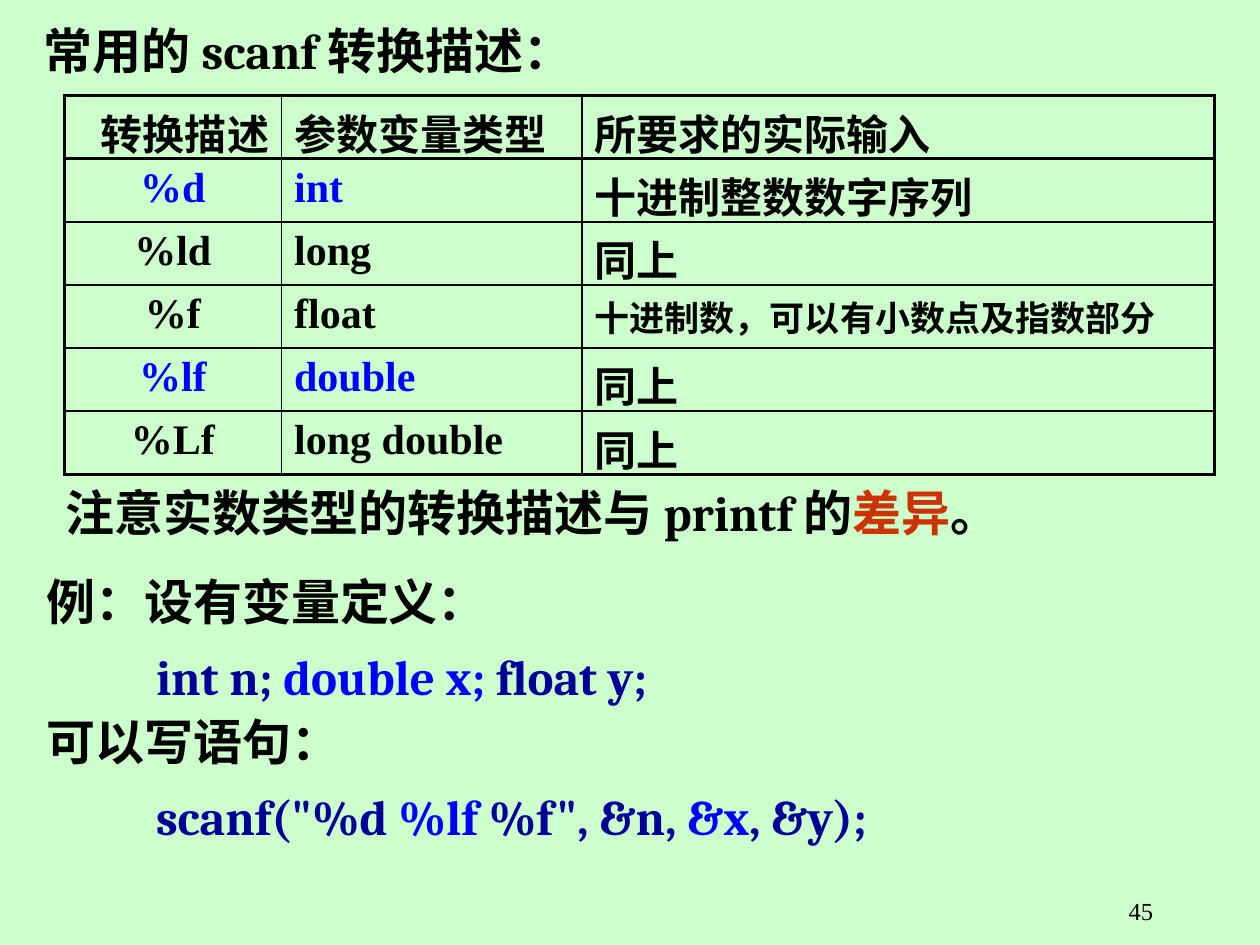
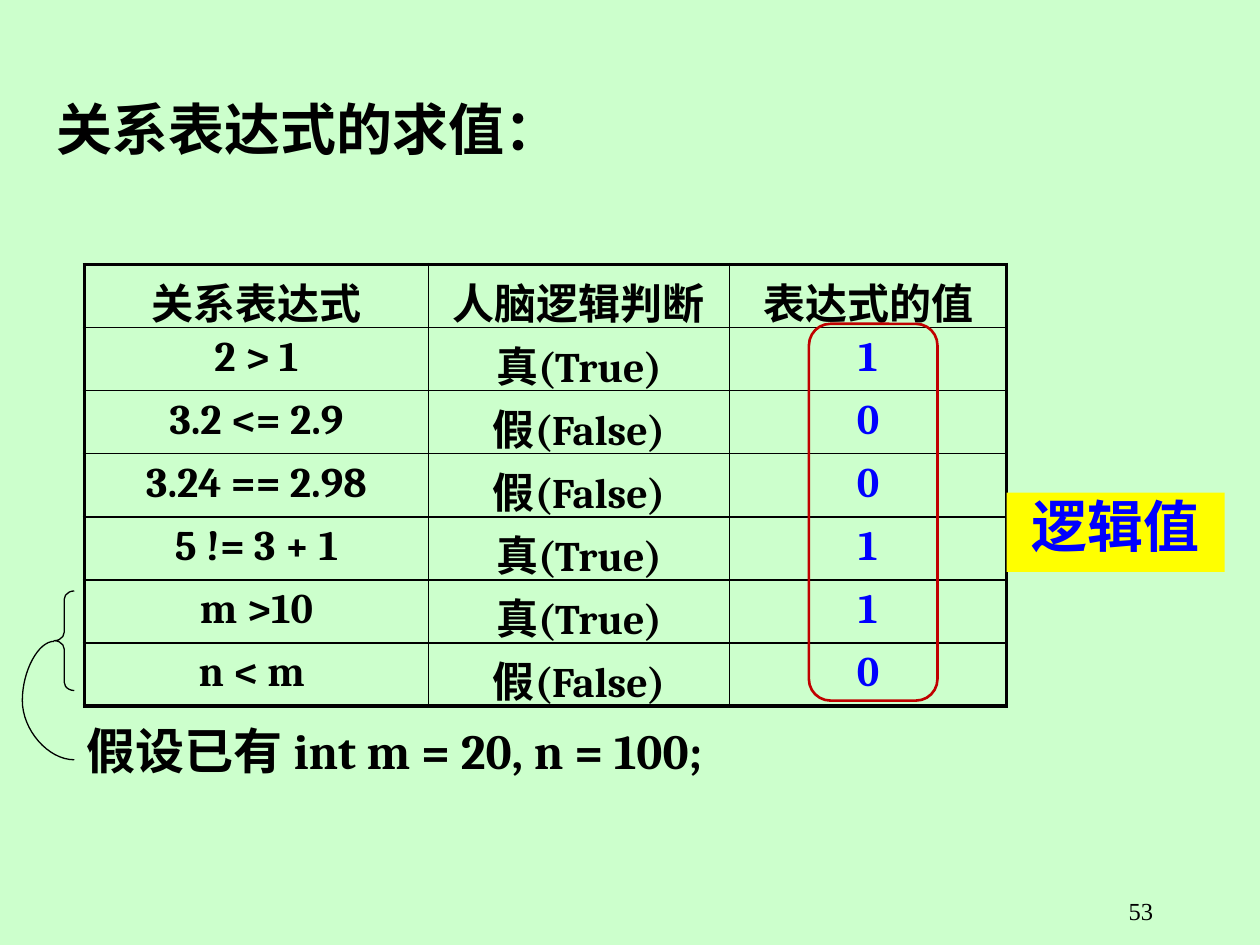
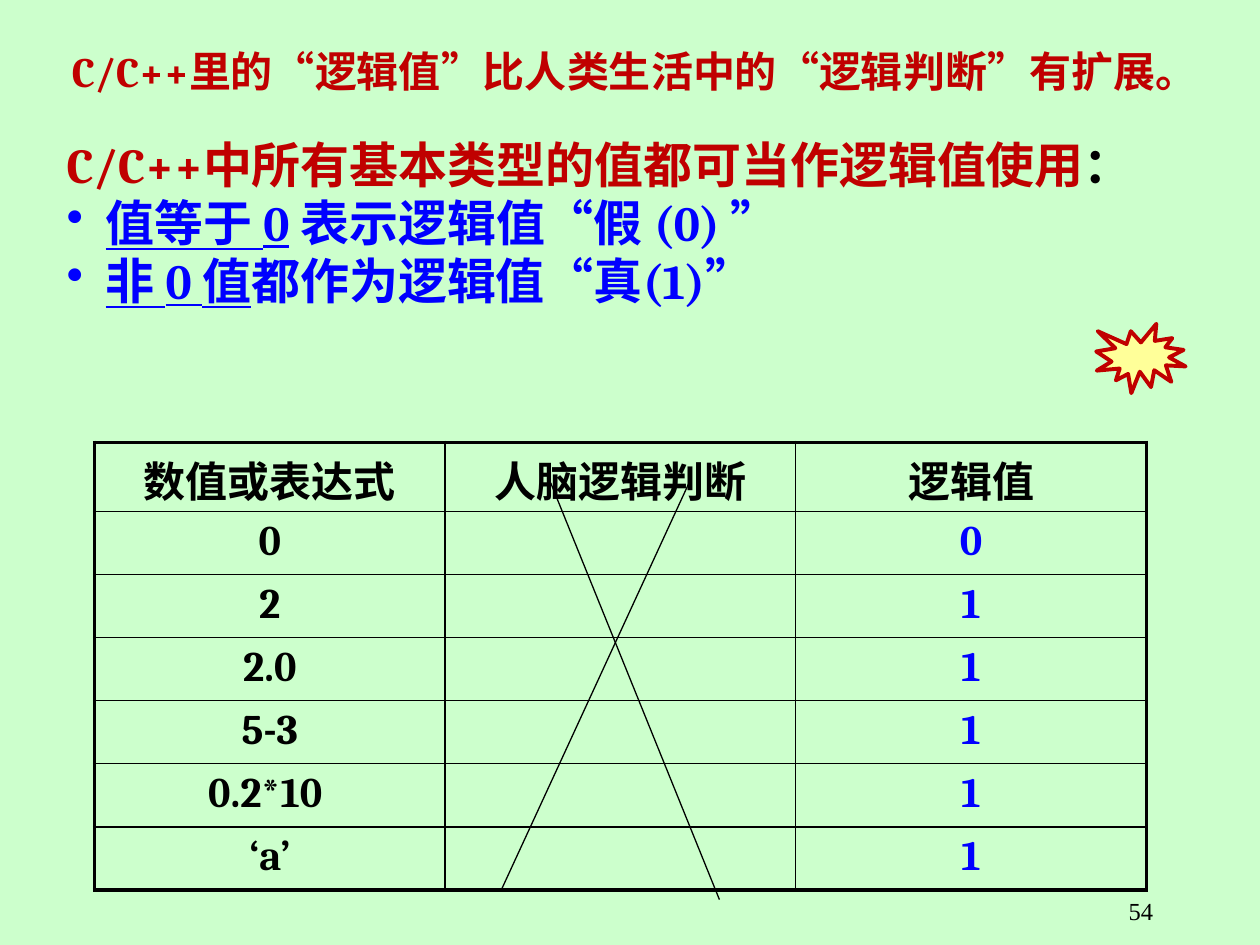
import dataclasses

import pptx
import pptx.dml.color
import pptx.enum.lang
import pptx.enum.shapes
import pptx.enum.text
import pptx.oxml
import pptx.oxml.ns
import pptx.util

ALIGN = pptx.enum.text.PP_ALIGN
SHAPE = pptx.enum.shapes.MSO_SHAPE
CONNECTOR = pptx.enum.shapes.MSO_CONNECTOR


@dataclasses.dataclass(frozen=True)
class Theme:
    background: str = "CCFFCC"
    black: str = "000000"
    blue: str = "0000FF"
    navy: str = "000099"
    red: str = "C00000"
    orange: str = "CC3300"
    yellow: str = "FFFF00"
    cream: str = "FFFF99"
    serif: str = "Cambria"
    roman: str = "Times New Roman"
    title: int = 32
    body: int = 28
    cell: int = 24
    small: int = 20
    number: int = 14
    thin: float = 0.75
    line_spacing: float = 0.9


THEME = Theme()

# The slide is a grid of 100 columns by 75 rows of square units.
COLUMNS = 100
WIDTH, HEIGHT = pptx.util.Inches(10), pptx.util.Inches(7.5)


def units(*values):
    return [round(value * WIDTH / COLUMNS) for value in values]


def rgb(color):
    return pptx.dml.color.RGBColor.from_string(color)


def add_element(parent, tag, **attributes):
    return pptx.oxml.ns.qn(tag) and _append(parent, tag, attributes)


def _append(parent, tag, attributes):
    element = parent.makeelement(pptx.oxml.ns.qn(tag), attributes)
    parent.append(element)
    return element


# Text

def format_run(run, size, color, font=THEME.serif, bold=True, underline=False):
    run.font.size = pptx.util.Pt(size)
    run.font.name = font
    run.font.bold = bold
    run.font.color.rgb = rgb(color)
    run.font.language_id = pptx.enum.lang.MSO_LANGUAGE_ID.SIMPLIFIED_CHINESE
    if underline:
        run.font.underline = True


def write_paragraph(paragraph, runs, size, align=ALIGN.LEFT, font=THEME.serif,
                    before=0, left=0, hanging=0, bullet=None,
                    spacing=THEME.line_spacing):
    """Fill a paragraph with runs of (text, color[, underline])."""
    paragraph.alignment = align
    paragraph.line_spacing = spacing
    if before:
        paragraph.space_before = pptx.util.Pt(before)
    properties = paragraph._p.get_or_add_pPr()
    left_margin, indent = units(left, -hanging)
    properties.set("marL", str(left_margin))
    properties.set("indent", str(indent))
    if bullet:
        add_element(properties, "a:buChar", char=bullet)
    for text, color, *underline in runs:
        run = paragraph.add_run()
        run.text = text
        format_run(run, size, color, font, underline=bool(underline))


def add_text(slide, box, paragraphs, size=THEME.body, **shared):
    """Add a text box; each paragraph is (runs, options)."""
    frame = slide.shapes.add_textbox(*units(*box)).text_frame
    frame.word_wrap = True
    for index, (runs, options) in enumerate(paragraphs):
        paragraph = frame.add_paragraph() if index else frame.paragraphs[0]
        write_paragraph(paragraph, runs, size, **{**shared, **options})


def add_slide(presentation, number):
    slide = presentation.slides.add_slide(presentation.slide_layouts[6])
    box = slide.shapes.add_textbox(*units(71.7, 70.6, 20.8, 2.8))
    paragraph = box.text_frame.paragraphs[0]
    paragraph.text = str(number)
    paragraph.alignment = ALIGN.RIGHT
    format_run(paragraph.runs[0], THEME.number, THEME.black, THEME.roman, bold=False)
    return slide


# Tables

def set_borders(cell, widths):
    properties = cell._tc.get_or_add_tcPr()
    for position, (side, width) in enumerate(zip("LRTB", widths)):
        line = add_element(properties, "a:ln" + side, w=str(pptx.util.Pt(width)))
        fill = add_element(line, "a:solidFill")
        add_element(fill, "a:srgbClr", val=THEME.black)
        properties.remove(line)
        properties.insert(position, line)


def add_table(slide, corner, widths, heights, rows, style_cell, outer, header=1):
    """Add a ruled table; style_cell(row, column) gives a cell's text options."""
    frame = slide.shapes.add_table(len(rows), len(widths),
                                   *units(*corner, sum(widths), sum(heights)))
    table = frame.table
    table.first_row = table.horz_banding = False
    for column, width in zip(table.columns, units(*widths)):
        column.width = width
    for row, height in zip(table.rows, units(*heights)):
        row.height = height
    last_row, last_column = len(rows) - 1, len(widths) - 1
    for r, texts in enumerate(rows):
        for c, text in enumerate(texts):
            cell = table.cell(r, c)
            cell.fill.background()
            set_borders(cell, (outer if c == 0 else 1,
                               outer if c == last_column else 1,
                               outer if r == 0 else header if r == 1 else 1,
                               outer if r == last_row else header if r == 0 else 1))
            if text:
                options = {"size": THEME.cell, "color": THEME.black,
                           "align": ALIGN.CENTER, **style_cell(r, c)}
                write_paragraph(cell.text_frame.paragraphs[0],
                                [(text, options.pop("color"))], spacing=1.0, **options)


def blue_values(row, column):
    return {"color": THEME.blue} if row and column == 2 else {}


# Shapes and lines

def add_shape(slide, kind, box, fill=None, line=None, width=THEME.thin, adjust=()):
    shape = slide.shapes.add_shape(kind, *units(*box))
    shape.shadow.inherit = False
    for index, value in enumerate(adjust):
        shape.adjustments[index] = value
    if fill:
        shape.fill.solid()
        shape.fill.fore_color.rgb = rgb(fill)
    else:
        shape.fill.background()
    if line:
        shape.line.color.rgb = rgb(line)
        shape.line.width = pptx.util.Pt(width)
    else:
        shape.line.fill.background()
    return shape


def add_line(slide, begin, end, kind=CONNECTOR.STRAIGHT, bend=None):
    connector = slide.shapes.add_connector(kind, *units(*begin, *end))
    connector.line.color.rgb = rgb(THEME.black)
    connector.line.width = pptx.util.Pt(THEME.thin)
    properties = connector._element.spPr
    add_element(properties, "a:effectLst")
    if bend is not None:
        guides = properties.find(pptx.oxml.ns.qn("a:prstGeom")).get_or_add_avLst()
        add_element(guides, "a:gd", name="adj1", fmla=f"val {round(bend * 100000)}")


# Slides

def build_scanf(presentation):
    slide = add_slide(presentation, 45)
    black, blue, navy = THEME.black, THEME.blue, THEME.navy
    add_text(slide, (4.2, 38.3, 95.8, 5.7), [
        ([("注意实数类型的转换描述与 printf 的", black), ("差异", THEME.orange),
          ("。", black)], {})])
    code = {"left": 8.7, "before": 12.5}
    add_text(slide, (2.7, 45.4, 95.8, 23.9), [
        ([("例：设有变量定义：", black)], {}),
        ([("int n; ", navy), ("double x;", blue), (" float y;", navy)], code),
        ([("可以写语句：", black)], {"before": 7}),
        ([('scanf("%d ', navy), ("%lf ", blue), ('%f", &n, ', navy),
          ("&x", blue), (", &y);", navy)], code),
    ], align=ALIGN.JUSTIFY)
    add_text(slide, (2.5, 1.7, 88.3, 5.7), [([("常用的 scanf 转换描述：", black)], {})])

    rows = [("转换描述", "参数变量类型", "所要求的实际输入"),
            ("%d", "int", "十进制整数数字序列"),
            ("%ld", "long", "同上"),
            ("%f", "float", "十进制数，可以有小数点及指数部分"),
            ("%lf", "double", "同上"),
            ("%Lf", "long double", "同上")]

    def style_cell(row, column):
        first = ALIGN.CENTER if row else ALIGN.RIGHT
        return {"font": THEME.roman,
                "align": ALIGN.LEFT if column else first,
                "color": blue if row in (1, 4) and column < 2 else black,
                "size": THEME.small if (row, column) == (3, 2) else THEME.cell}

    add_table(slide, (5.1, 7.6), (17.25, 23.85, 50.2), [5] * 6, rows, style_cell,
              outer=2, header=2)


def build_relations(presentation):
    slide = add_slide(presentation, 53)
    add_text(slide, (3.5, 7.6, 92.4, 6.3), [([("关系表达式的求值：", THEME.black)], {})],
             size=THEME.title, font=THEME.roman)
    add_text(slide, (5.9, 57.2, 84.3, 6.3), [
        ([("假设已有 int m = 20, n = 100;", THEME.black)], {"left": 3.8, "hanging": 3.8})])
    true, false = ("真(True)", "1"), ("假(False)", "0")
    rows = [("关系表达式", "人脑逻辑判断", "表达式的值"),
            ("2 > 1", *true), ("3.2 <= 2.9", *false), ("3.24 == 2.98", *false),
            ("5 != 3 + 1", *true), ("m >10", *true), ("n < m ", *false)]
    add_table(slide, (6.7, 21), (27.3, 23.9, 22), [5] * 7, rows, blue_values, outer=2.25)

    # The last two rows rely on the declaration below the table
    add_shape(slide, SHAPE.LEFT_BRACE, (4.3, 46.9, 1.6, 7.9), line=THEME.black,
              adjust=(0.415, 0.5))
    add_line(slide, (4.3, 50.9), (5.9, 60.3), CONNECTOR.CURVE, bend=-1.58)

    label = add_shape(slide, SHAPE.RECTANGLE, (79.9, 39.1, 17.3, 6.3), fill=THEME.yellow)
    label.text_frame.vertical_anchor = pptx.enum.text.MSO_ANCHOR.TOP
    write_paragraph(label.text_frame.paragraphs[0], [("逻辑值", THEME.blue)],
                    THEME.title, ALIGN.CENTER, THEME.roman)
    add_shape(slide, SHAPE.ROUNDED_RECTANGLE, (64.2, 25.7, 10.2, 29.9),
              line=THEME.red, width=1.5, adjust=(0.167,))


def build_logic_values(presentation):
    slide = add_slide(presentation, 54)
    blue, red = THEME.blue, THEME.red
    bullet = {"bullet": "•", "before": 3}
    add_text(slide, (4.3, 10.7, 90.6, 16.9), [
        ([("C/C++中所有基本类型的值都可当作逻辑值使用", red), ("：", THEME.black)], {}),
        ([("值等于 0", blue, True), (" 表示逻辑值“假 (0) ”", blue)], bullet),
        ([("非 0 值", blue, True), ("都作为逻辑值“真(1)”", blue)], bullet),
    ], align=ALIGN.JUSTIFY, left=3.1, hanging=3.1)
    add_shape(slide, SHAPE.EXPLOSION1, (87, 25.7, 7.1, 5.5), fill=THEME.cream,
              line=red, width=2.25)
    add_text(slide, (4.3, 3.6, 92.1, 5), [
        ([("C/C++里的“逻辑值”比人类生活中的“逻辑判断”有扩展。", red)], {})],
        size=THEME.cell, align=ALIGN.CENTER)

    rows = [("数值或表达式", "人脑逻辑判断", "逻辑值"), ("0", "", "0")]
    rows += [(value, "", "1") for value in ("2", "2.0", "5-3", "0.2*10 ", "‘a’")]
    add_table(slide, (7.5, 35.1), [27.83] * 3, [5.5] + [5] * 6, rows, blue_values,
              outer=2.25)

    # Cross out the middle column
    add_line(slide, (54.7, 38.3), (39.8, 70.6))
    add_line(slide, (43.7, 38.3), (57.1, 71.4))


def main():
    presentation = pptx.Presentation()
    presentation.slide_width, presentation.slide_height = WIDTH, HEIGHT
    background = presentation.slide_master.background.fill
    background.solid()
    background.fore_color.rgb = rgb(THEME.background)
    build_scanf(presentation)
    build_relations(presentation)
    build_logic_values(presentation)
    presentation.save("out.pptx")


if __name__ == "__main__":
    main()
